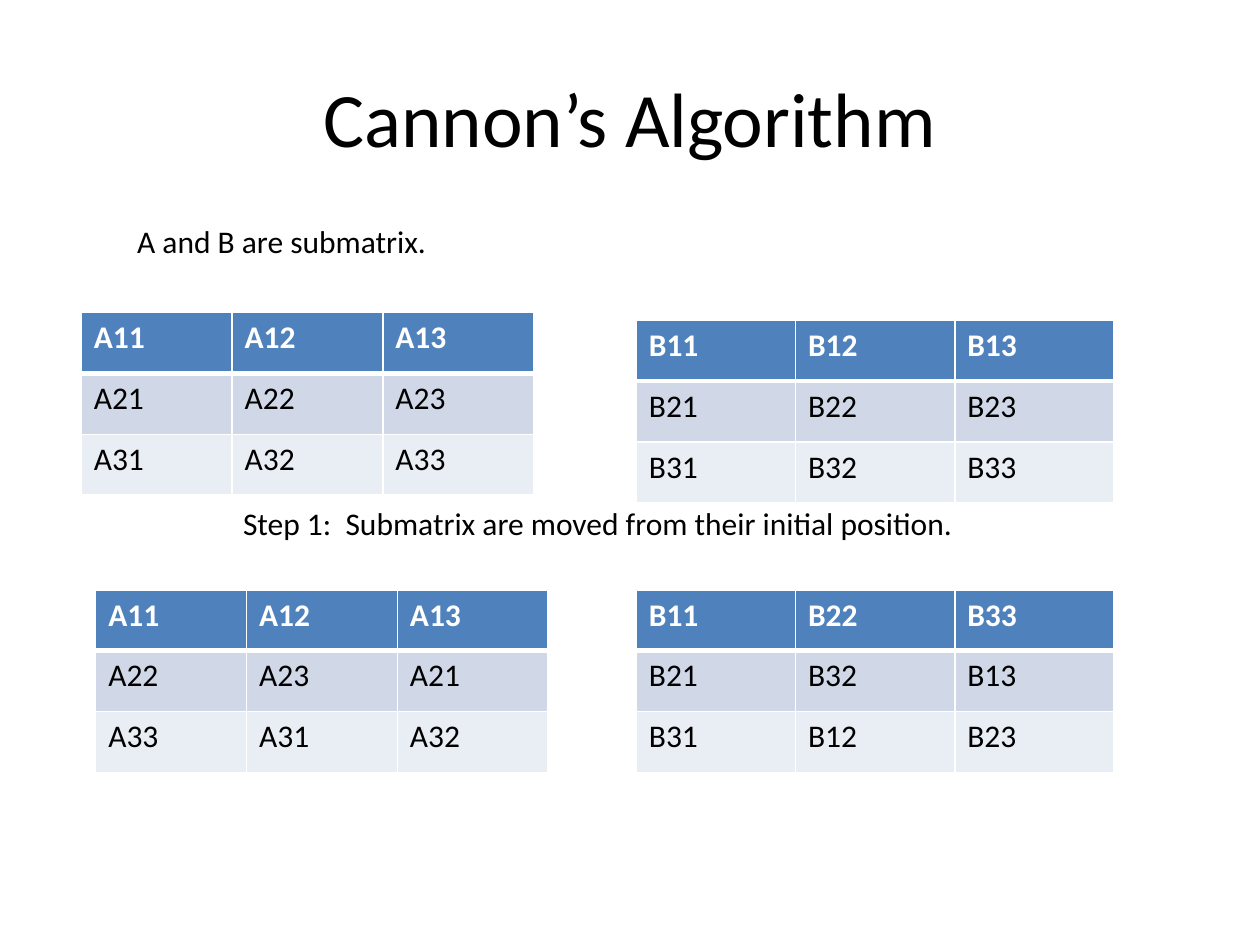
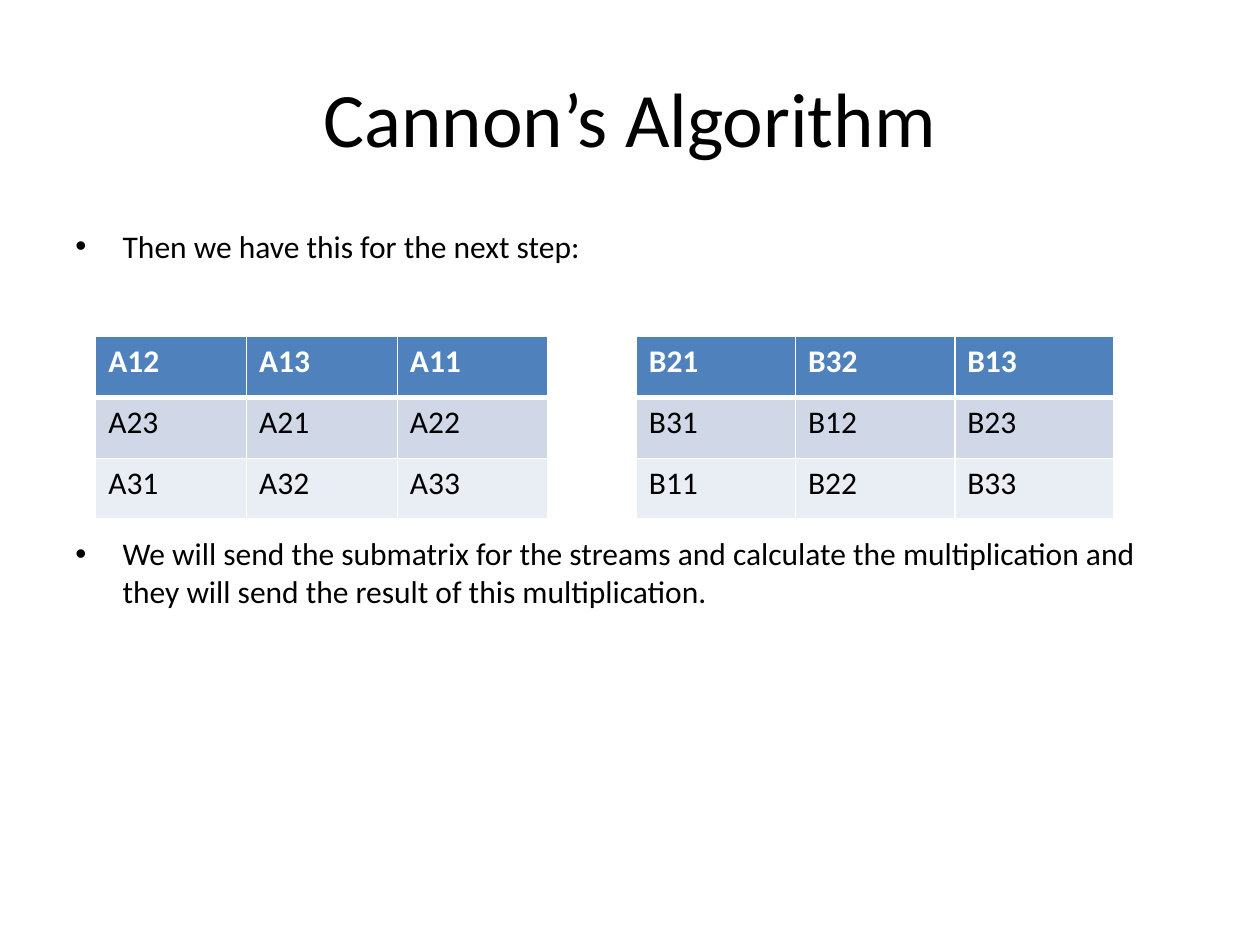
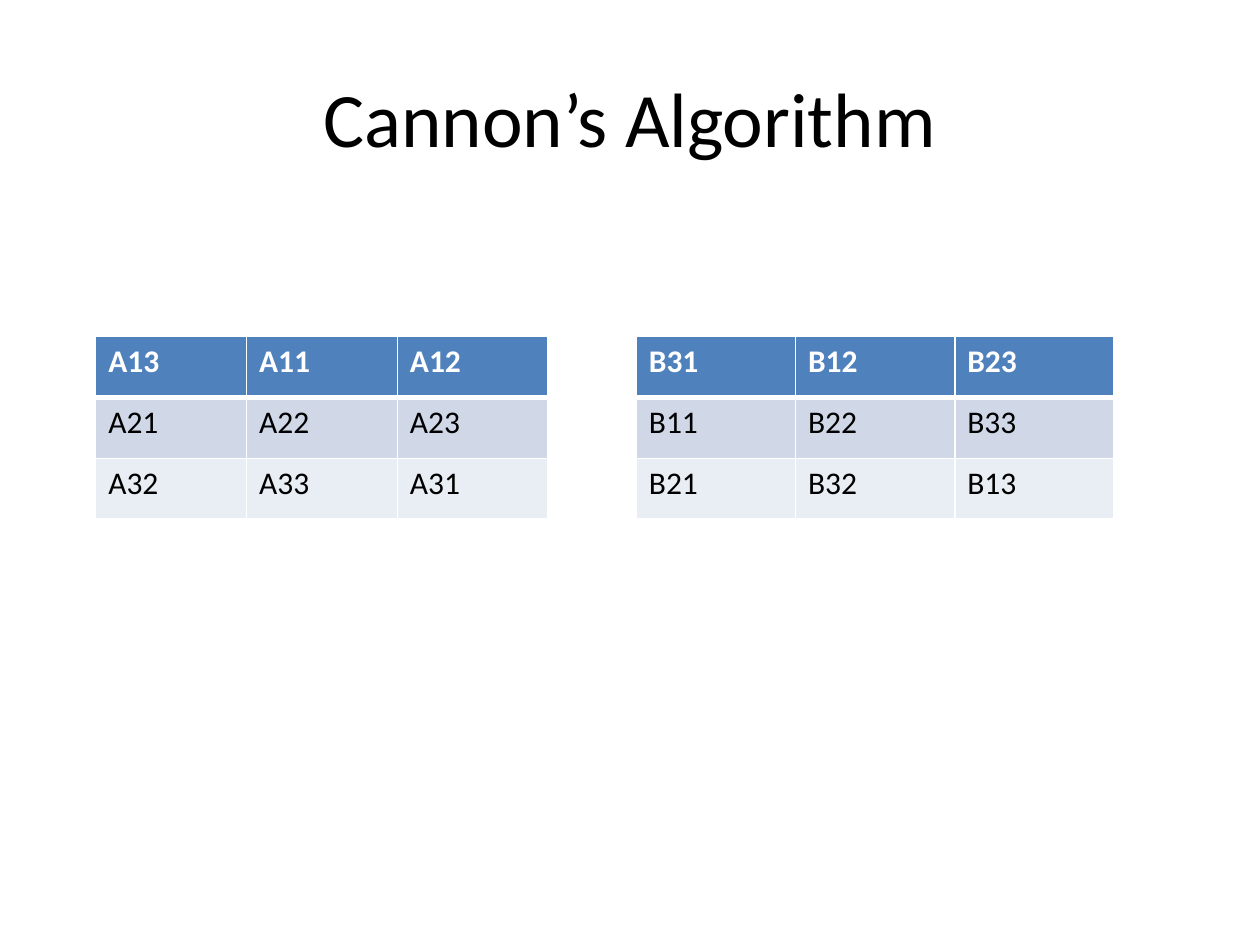
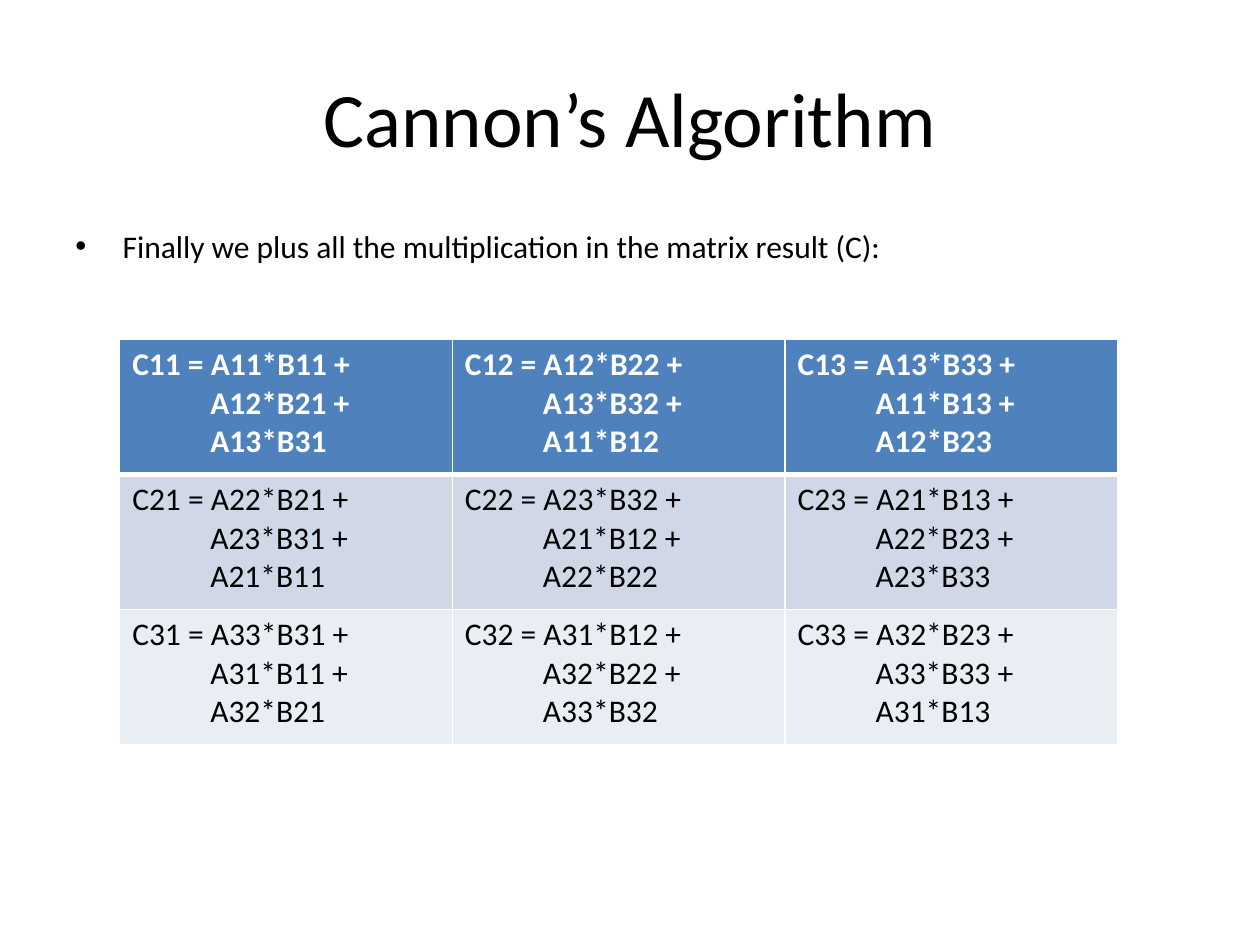
from pptx import Presentation
from pptx import util as u
from pptx.dml import color
from pptx.enum import text
from pptx.oxml import parse_xml
from pptx.oxml import ns

Pt = u.Pt
COLORS = {"ink": "000000", "paper": "FFFFFF", "header": "4F81BD",
          "odd": "D0D8E8", "even": "E9EDF4"}
BODY = {"size": Pt(18), "name": "Calibri", "bold": False}
HEADER = {**BODY, "bold": True}
TITLE = {**BODY, "size": Pt(44)}
SIZE = 3
NARROW, WIDE, SUM_WIDTH = 86.2, 91, 190.1
ROW_HEIGHT, SUM_ROW_HEIGHT = 34.8, 77.2
A_LEFT, B_LEFT, STEP_TOP = 54.7, 363.6, 192.3
BULLET_INDENT, SUM_INDENT = 27, 44.6


def add_text(frame, lines, formats, ink, indent=0, hanging=0):
    """Write one paragraph per line; a hanging indent brings a bullet."""
    for index, line in enumerate(lines):
        paragraph = frame.paragraphs[0] if index == 0 else frame.add_paragraph()
        run = paragraph.add_run()
        run.text = line
        for name, value in formats.items():
            setattr(run.font, name, value)
        run.font.color.rgb = color.RGBColor.from_string(COLORS[ink])
        properties = paragraph._p.get_or_add_pPr()
        if hanging:
            properties.set("marL", str(Pt(hanging)))
            properties.set("indent", str(-Pt(hanging)))
            properties.append(parse_xml(
                f'<a:buFont {ns.nsdecls("a")} typeface="Arial"/>'))
            properties.append(parse_xml(
                f'<a:buChar {ns.nsdecls("a")} char="•"/>'))
        elif indent and index:
            properties.set("marL", str(Pt(indent)))


def add_matrix(slide, left, top, column_width, row_height, entry):
    """Draw a 3 x 3 table; entry(row, column) gives the lines of a cell."""
    table = slide.shapes.add_table(
        SIZE, SIZE, Pt(left), Pt(top),
        Pt(column_width * SIZE), Pt(row_height * SIZE)).table
    for index in range(SIZE):
        table.columns[index].width = Pt(column_width)
        table.rows[index].height = Pt(row_height)
    for row in range(SIZE):
        for column in range(SIZE):
            cell = table.cell(row, column)
            widths = {"lnL": 1, "lnR": 1, "lnT": 3 if row == 1 else 1,
                      "lnB": 3 if row == 0 else 1}
            for edge, width in widths.items():
                cell._tc.get_or_add_tcPr().append(parse_xml(
                    f'<a:{edge} {ns.nsdecls("a")} w="{Pt(width)}"><a:solidFill>'
                    f'<a:srgbClr val="{COLORS["paper"]}"/></a:solidFill></a:{edge}>'))
            cell.fill.solid()
            cell.fill.fore_color.rgb = color.RGBColor.from_string(
                COLORS[("header", "odd", "even")[row]])
            add_text(cell.text_frame, entry(row, column),
                     BODY if row else HEADER, "ink" if row else "paper",
                     indent=SUM_INDENT)


presentation = Presentation()
presentation.slide_width, presentation.slide_height = Pt(720), Pt(540)

# Titles
slides = []
for number in range(4):
    slide = presentation.slides.add_slide(presentation.slide_layouts[5])
    title = slide.shapes.title
    title.left, title.top, title.width, title.height = Pt(36), Pt(21.6), Pt(648), Pt(90)
    title.text_frame.vertical_anchor = text.MSO_ANCHOR.MIDDLE
    title.text_frame.paragraphs[0].alignment = text.PP_ALIGN.CENTER
    add_text(title.text_frame, ["Cannon’s Algorithm"], TITLE, "ink")
    slides.append(slide)
start_slide, next_slide, last_slide, result_slide = slides

# Captions on the first slide
for left, top, width, caption in (
        (131.8, 284.4, 430.6, "Step 1:  Submatrix are moved from their initial position."),
        (71.3, 123.1, 181.4, "A and B are submatrix.")):
    frame = start_slide.shapes.add_textbox(Pt(left), Pt(top), Pt(width), Pt(28.8)).text_frame
    frame.word_wrap = False
    add_text(frame, [caption], BODY, "ink")

# Bullets, with room for the tables between them
for slide, bullets in (
        (next_slide, ["Then we have this for the next step:",
                      "We will send the submatrix for the streams and calculate the "
                      "multiplication and they will send the result of this multiplication."]),
        (result_slide, ["Finally we plus all the multiplication in the matrix result (C):"])):
    frame = slide.shapes.add_textbox(Pt(36), Pt(126), Pt(648), Pt(356.4)).text_frame
    frame.word_wrap = True
    add_text(frame, bullets, BODY, "ink", hanging=BULLET_INDENT)
    for paragraph in frame.paragraphs[1:]:
        paragraph.space_before = Pt(154.2)

# Initial matrices
for letter, left, top, width in (("A", 46.4, 178.6, NARROW), ("B", B_LEFT, 183, WIDE)):
    add_matrix(start_slide, left, top, width, ROW_HEIGHT,
               lambda row, column: [f"{letter}{row + 1}{column + 1}"])

# Each step shifts the rows of A to the left and the columns of B up
for step, (slide, top) in enumerate(
        ((start_slide, 337), (next_slide, STEP_TOP), (last_slide, STEP_TOP))):
    add_matrix(slide, A_LEFT, top, NARROW, ROW_HEIGHT, lambda row, column: [
        f"A{row + 1}{(row + column + step) % SIZE + 1}"])
    add_matrix(slide, B_LEFT, top, WIDE, ROW_HEIGHT, lambda row, column: [
        f"B{(row + column + step) % SIZE + 1}{column + 1}"])


# Result: the sum of the products of all steps
sums = {}
for row in range(SIZE):
    for column in range(SIZE):
        inner = [(row + column + step) % SIZE + 1 for step in range(SIZE)]
        products = [f"A{row + 1}{k}*B{k}{column + 1}" for k in inner]
        sums[row, column] = [f"C{row + 1}{column + 1} = {products[0]} +",
                             f"{products[1]} +", products[2]]
add_matrix(result_slide, 68.4, 193.9, SUM_WIDTH, SUM_ROW_HEIGHT,
           lambda row, column: sums[row, column])

presentation.save("out.pptx")
